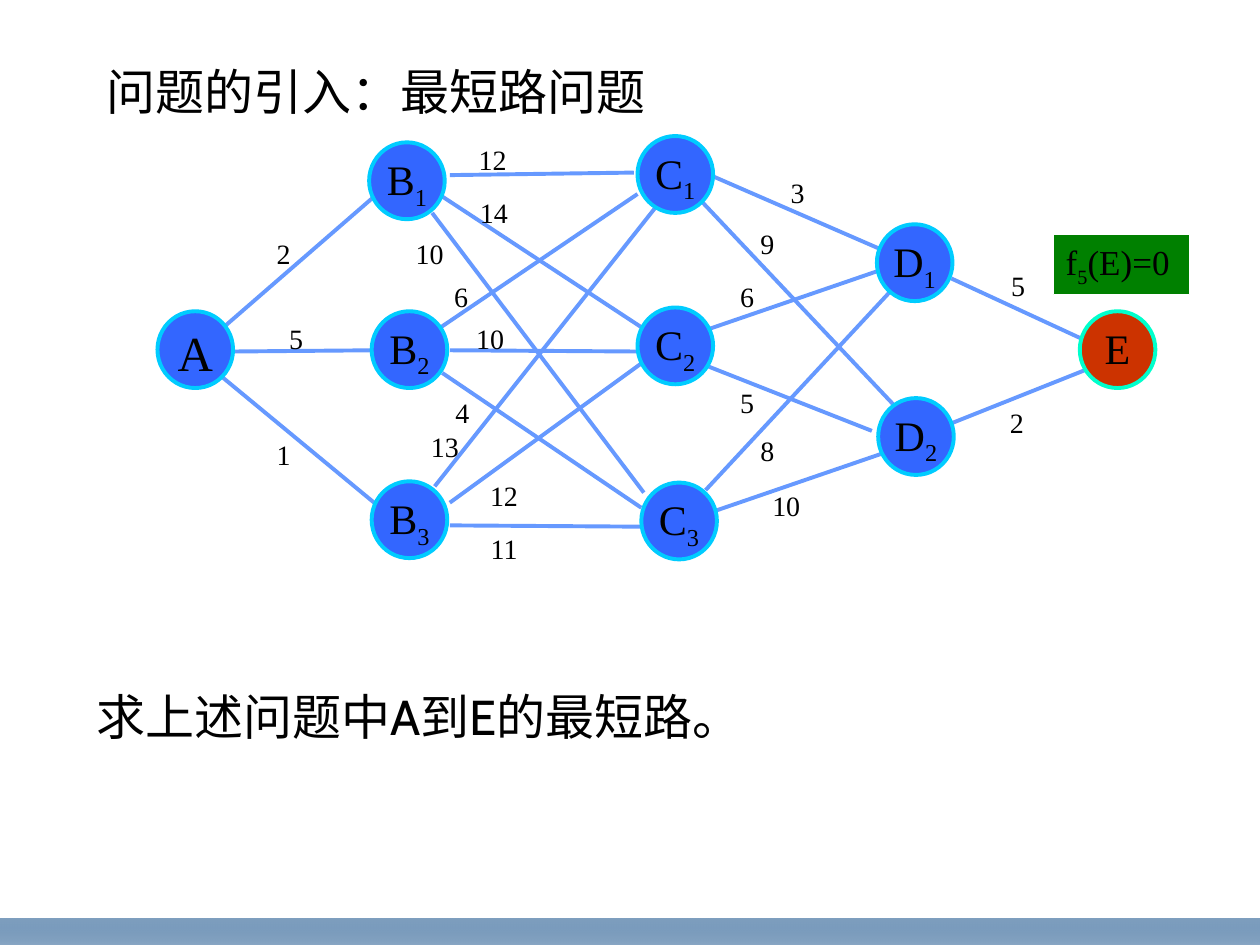
from dataclasses import dataclass

from lxml.etree import SubElement
from pptx import Presentation
from pptx.dml.color import RGBColor
from pptx.enum.shapes import MSO_CONNECTOR as Connector, MSO_SHAPE as Shape
from pptx.enum.text import MSO_ANCHOR as Anchor, MSO_AUTO_SIZE as AutoSize, PP_ALIGN as Align
from pptx.oxml.ns import qn
from pptx.util import Inches, Pt


@dataclass(frozen=True)
class Theme:
    text: str = "000000"
    edge: str = "6699FF"
    node: str = "3366FF"
    node_line: str = "00CCFF"
    goal: str = "CC3300"
    goal_line: str = "00FFCC"
    note: str = "008000"
    note_line: str = "FFFFFF"
    bar_top: str = "7D9EBE"
    bar_bottom: str = "336699"
    serif: str = "Times New Roman"
    sans: str = "Cabin"
    weight_size: int = 16
    note_size: int = 20
    node_size: int = 24
    big_size: int = 28
    stroke: float = 2.25


THEME = Theme()

# Content: heading and question as (text, left, top, font)
STATEMENTS = [
    ("问题的引入：最短路问题", 0.75, 0.44, THEME.serif),
    ("求上述问题中A到E的最短路。", 0.67, 5.4, THEME.sans),
]

# Nodes: (letter, index, left, top)
NODES = [
    ("A", "", 1.25, 2.47),
    ("B", "1", 2.93, 1.13), ("B", "2", 2.95, 2.47), ("B", "3", 2.95, 3.82),
    ("C", "1", 5.06, 1.08), ("C", "2", 5.06, 2.44), ("C", "3", 5.09, 3.83),
    ("D", "1", 6.96, 1.78), ("D", "2", 6.97, 3.16),
    ("E", "", 8.57, 2.47),
]

# Edges: (weight, line start, line end, weight label corner)
EDGES = [
    # A to B
    ("2", (1.76, 2.61), (2.97, 1.56), (2.09, 1.88)),
    ("5", (1.85, 2.79), (2.97, 2.78), (2.19, 2.55)),
    ("1", (1.76, 2.99), (2.97, 3.99), (2.09, 3.47)),
    # B to C
    ("12", (3.57, 1.39), (5.03, 1.37), (3.75, 1.13)),
    ("14", (3.48, 1.54), (5.11, 2.61), (3.76, 1.55)),
    ("10", (3.43, 1.69), (5.11, 3.91), (3.25, 1.88)),
    ("6", (3.48, 2.61), (5.06, 1.54), (3.5, 2.22)),
    ("10", (3.57, 2.78), (5.06, 2.79), (3.73, 2.55)),
    ("4", (3.51, 2.96), (5.09, 4.03), (3.51, 3.14)),
    ("13", (3.45, 3.86), (5.2, 1.65), (3.37, 3.41)),
    ("12", (3.57, 3.99), (5.11, 2.87), (3.84, 3.8)),
    ("11", (3.57, 4.17), (5.09, 4.18), (3.84, 4.22)),
    # C to D
    ("3", (5.66, 1.4), (6.97, 1.97), (6.17, 1.39)),
    ("9", (5.57, 1.6), (7.09, 3.21), (5.93, 1.8)),
    ("6", (5.63, 2.61), (6.97, 2.15), (5.77, 2.22)),
    ("5", (5.6, 2.9), (6.92, 3.42), (5.77, 3.06)),
    ("8", (5.6, 3.89), (7.06, 2.32), (5.93, 3.44)),
    ("10", (5.66, 4.06), (7, 3.6), (6.08, 3.88)),
    # D to E
    ("5", (7.55, 2.21), (8.61, 2.7), (7.92, 2.13)),
    ("2", (7.55, 3.36), (8.63, 2.93), (7.91, 3.22)),
]

# Stage value note: (text, is subscript)
NOTE = [("f", False), ("5", True), ("(E)=0", False)]


def color(code):
    return RGBColor.from_string(code)


def write(box, parts, size, font=THEME.serif, align=Align.LEFT, anchor=Anchor.TOP, margins=(0, 0)):
    """Fill a box with one paragraph of (text, is subscript) parts."""
    frame = box.text_frame
    frame.word_wrap = True
    frame.vertical_anchor = anchor
    frame.margin_left = frame.margin_right = Inches(margins[0])
    frame.margin_top = frame.margin_bottom = Inches(margins[1])
    para = frame.paragraphs[0]
    para.alignment = align
    for text, subscript in parts:
        span = para.add_run()
        span.text = text
        span.font.name = font
        span.font.size = Pt(size)
        span.font.color.rgb = color(THEME.text)
        if subscript:
            span._r.get_or_add_rPr().set("baseline", "-25000")


def add_filled(page, kind, bounds, fill, line, width):
    shape = page.shapes.add_shape(kind, *map(Inches, bounds))
    shape.shadow.inherit = False
    shape.fill.solid()
    shape.fill.fore_color.rgb = color(fill)
    shape.line.color.rgb = color(line)
    shape.line.width = Pt(width)
    return shape


def add_bar(page):
    bar = page.shapes.add_shape(Shape.RECTANGLE, *map(Inches, (0, 7.29, 10, 0.21)))
    bar.shadow.inherit = False
    bar.line.fill.background()
    bar.fill.gradient()
    bar.fill.gradient_angle = 270
    for stop, code, position in zip(bar.fill.gradient_stops, (THEME.bar_top, THEME.bar_bottom), (0, 1)):
        stop.color.rgb = color(code)
        stop.position = position
    bottom = bar._element.spPr.findall(".//" + qn("a:srgbClr"))[-1]
    SubElement(bottom, qn("a:alpha")).set("val", "57000")


def add_edge(page, start, end):
    line = page.shapes.add_connector(Connector.STRAIGHT, *map(Inches, start + end))
    line.line.color.rgb = color(THEME.edge)
    line.line.width = Pt(THEME.stroke)
    SubElement(line._element.spPr, qn("a:effectLst"))


def add_node(page, letter, index, left, top):
    fill, line = (THEME.goal, THEME.goal_line) if letter == "E" else (THEME.node, THEME.node_line)
    node = add_filled(page, Shape.OVAL, (left, top, 0.6, 0.61), fill, line, THEME.stroke)
    parts = [(letter, False)] + ([(index, True)] if index else [])
    size = THEME.big_size if letter == "A" else THEME.node_size
    write(node, parts, size, align=Align.CENTER)


def main():
    deck = Presentation()
    deck.slide_width, deck.slide_height = Inches(10), Inches(7.5)
    page = deck.slides.add_slide(deck.slide_layouts[6])
    add_bar(page)

    # Network: lines below, then weights, then nodes
    for _, start, end, _ in EDGES:
        add_edge(page, start, end)
    for weight, _, _, corner in EDGES:
        label = page.shapes.add_textbox(*map(Inches, corner + (0.32, 0.33)))
        write(label, [(weight, False)], THEME.weight_size, align=Align.CENTER)
    for node in NODES:
        add_node(page, *node)

    # Stage value note
    note = add_filled(page, Shape.RECTANGLE, (8.36, 1.86, 1.08, 0.48), THEME.note, THEME.note_line, 0.75)
    write(note, NOTE, THEME.note_size, margins=(0.1, 0.05))
    note.text_frame.auto_size = AutoSize.SHAPE_TO_FIT_TEXT

    # Heading and question
    for text, left, top, font in STATEMENTS:
        box = page.shapes.add_textbox(*map(Inches, (left, top, 8.5, 0.56)))
        write(box, [(text, False)], THEME.big_size, font, anchor=Anchor.MIDDLE, margins=(0.1, 0.05))

    deck.save("out.pptx")


if __name__ == "__main__":
    main()
